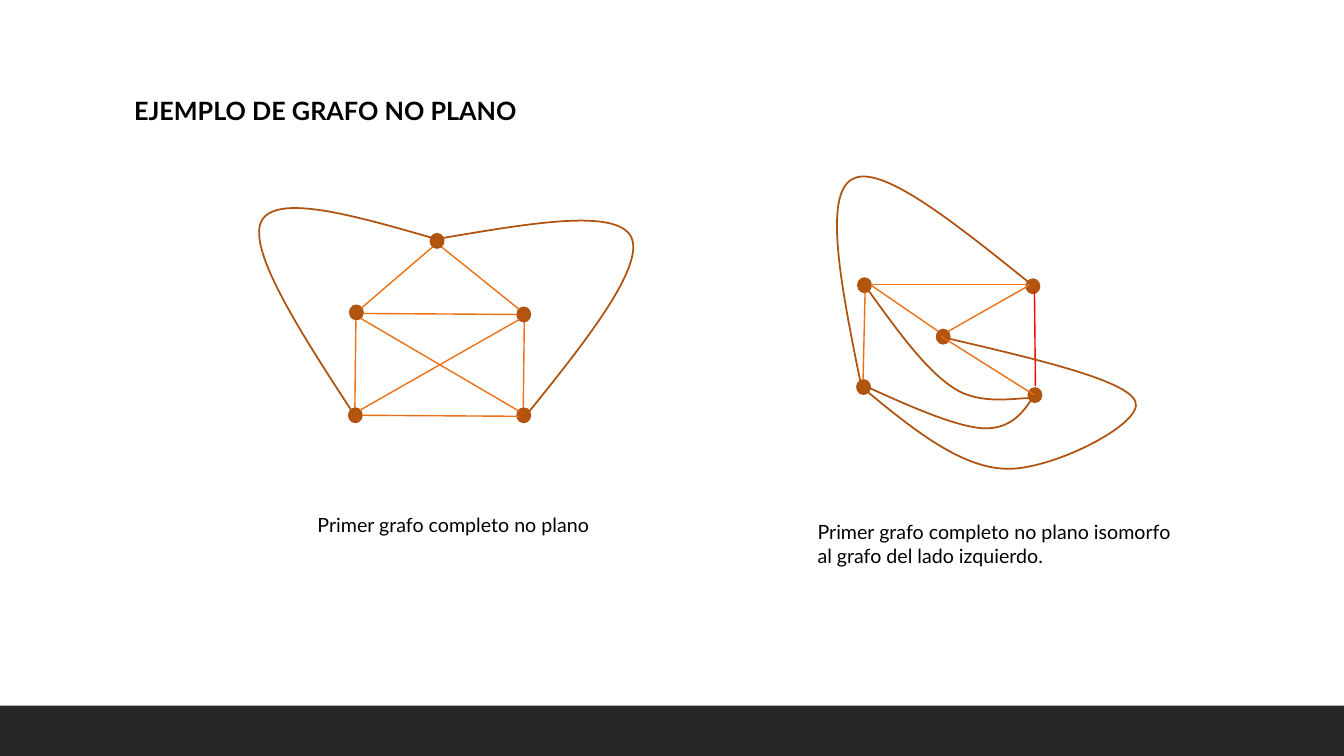
from lxml.etree import SubElement
from pptx import Presentation
from pptx.dml.color import RGBColor
from pptx.enum.shapes import MSO_CONNECTOR, MSO_SHAPE
from pptx.enum.text import MSO_ANCHOR, MSO_AUTO_SIZE, PP_ALIGN
from pptx.oxml.ns import qn
from pptx.util import Emu, Pt

PX = 9144  # 100 px to the inch
FONT = "Lato"
BLACK = RGBColor(0x00, 0x00, 0x00)
BAND = RGBColor(0x26, 0x26, 0x26)
NODE = RGBColor(0xB3, 0x54, 0x0F)
OUTLINE = RGBColor(0xAF, 0x53, 0x10)
EDGE = RGBColor(0xEC, 0x70, 0x16)
RED = RGBColor(0xFF, 0x00, 0x00)
NODE_W, NODE_H = 13, 14
CURVE_STEPS = 32


def px(*lengths):
    return [Emu(round(length * PX)) for length in lengths]


def write(holder, text, size=14, bold=False, color=BLACK):
    frame = holder.text_frame
    frame.word_wrap = True
    frame.auto_size = MSO_AUTO_SIZE.SHAPE_TO_FIT_TEXT
    frame.vertical_anchor = MSO_ANCHOR.TOP
    paragraph = frame.paragraphs[0]
    paragraph.alignment = PP_ALIGN.LEFT
    run = paragraph.add_run()
    run.text = text
    run.font.name, run.font.size, run.font.bold = FONT, Pt(size), bold
    run.font.color.rgb = color


def set_line(shape, color, width):
    shape.line.color.rgb = color
    shape.line.width = Pt(width)


def add_node(slide, x, y):
    node = slide.shapes.add_shape(MSO_SHAPE.OVAL, *px(x, y, NODE_W, NODE_H))
    node.shadow.inherit = False
    node.fill.solid()
    node.fill.fore_color.rgb = NODE
    set_line(node, OUTLINE, 1.25)


def add_edge(slide, x1, y1, x2, y2, color=EDGE):
    edge = slide.shapes.add_connector(MSO_CONNECTOR.STRAIGHT, *px(x1, y1, x2, y2))
    set_line(edge, color, 1)
    SubElement(edge._element.spPr, qn("a:effectLst"))


def bezier(start, control1, control2, end, t):
    u = 1 - t
    return tuple(u**3 * a + 3 * u * u * t * b + 3 * u * t * t * c + t**3 * d
                 for a, b, c, d in zip(start, control1, control2, end))


def add_curve(slide, points):
    """Draw a chain of cubic curves; each takes three points after the start."""
    # Points along the curve give the shape its true bounds
    trail = [bezier(*points[i:i + 4], step / CURVE_STEPS)
             for i in range(0, len(points) - 1, 3)
             for step in range(1, CURVE_STEPS + 1)]
    builder = slide.shapes.build_freeform(*px(*points[0]), scale=1.0)
    builder.add_line_segments([px(*point) for point in trail], close=False)
    curve = builder.convert_to_shape()
    curve.shadow.inherit = False
    curve.fill.background()
    set_line(curve, OUTLINE, 1.25)

    # Real cubic segments replace the line segments
    outline = next(curve._element.iter(qn("a:path")))
    for segment in list(outline):
        outline.remove(segment)
    for i, point in enumerate(points):
        if i == 0:
            segment = SubElement(outline, qn("a:moveTo"))
        elif i % 3 == 1:
            segment = SubElement(outline, qn("a:cubicBezTo"))
        x, y = px(*point)
        SubElement(segment, qn("a:pt"), x=str(x - curve.left), y=str(y - curve.top))


def add_graph(slide, left, top, graph):
    """Place nodes, edges, curves and caption relative to the corner given."""
    for x, y in graph["nodes"]:
        add_node(slide, left + x, top + y)
    for x1, y1, x2, y2, *color in graph["edges"]:
        add_edge(slide, left + x1, top + y1, left + x2, top + y2, *color)
    for curve in graph["curves"]:
        add_curve(slide, [(left + x, top + y) for x, y in curve])
    text, x, y, width, height = graph["caption"]
    caption = slide.shapes.add_textbox(*px(left + x, top + y, width, height))
    write(caption, text)


def add_title(slide, left, top, width, height):
    title = slide.shapes.title
    title.left, title.top, title.width, title.height = px(left, top, width, height)
    write(title, "EJEMPLO DE GRAFO NO PLANO", size=18, bold=True)


def add_master_band(deck, slide, left, top, width, height):
    band = slide.shapes.add_shape(MSO_SHAPE.RECTANGLE, *px(left, top, width, height))
    band.shadow.inherit = False
    band.fill.solid()
    band.fill.fore_color.rgb = BAND
    band.line.fill.background()
    deck.slide_master.shapes._spTree.append(band._element)


# Complete graph on five nodes
COMPLETE = {
    "nodes": [(263, 205), (263, 105), (97, 103), (96, 205), (177, 32)],
    "edges": [
        (103, 118, 102, 205), (110, 111, 263, 112), (108, 116, 265, 208),
        (108, 106, 179, 45), (188, 45, 265, 107), (270, 119, 269, 205),
        (109, 212, 265, 213), (265, 117, 107, 207),
    ],
    "curves": [
        [(184, 37), (273, 22), (361, 6), (376, 35), (390, 64), (331, 139), (271, 213)],
        [(182, 37), (102, 14), (23, -9), (9, 20), (-4, 49), (48, 130), (101, 211)],
    ],
    "caption": ("Primer grafo completo no plano", 55, 304, 381, 34),
}

# Isomorphic graph, with the crossing edge in red
ISOMORPHIC = {
    "nodes": [(218, 127), (51, 126), (50, 227), (129, 177), (220, 235)],
    "edges": [
        (64, 133, 131, 179), (64, 132, 221, 132), (58, 140, 56, 227),
        (140, 179, 221, 133), (134, 184, 226, 242), (226, 138, 227, 233, RED),
    ],
    "curves": [
        [(62, 139), (90, 178), (119, 218), (146, 235), (173, 253), (210, 244), (224, 245)],
        [(137, 185), (227, 206), (317, 227), (326, 248), (336, 270), (241, 318),
         (196, 315), (151, 313), (103, 274), (56, 235)],
        [(224, 133), (148, 72), (73, 11), (45, 28), (16, 44), (35, 138), (54, 232)],
        [(58, 233), (102, 253), (147, 273), (175, 275), (203, 276), (215, 259), (226, 242)],
    ],
    "caption": ("Primer grafo completo no plano isomorfo al grafo del lado izquierdo.",
                1, 361, 381, 57),
}


def main():
    deck = Presentation()
    deck.slide_width, deck.slide_height = px(1333, 750)
    slide = deck.slides.add_slide(deck.slide_layouts[5])
    add_master_band(deck, slide, 0, 700, 1333, 50)
    add_title(slide, 123, 90, 465, 40)
    add_graph(slide, 250, 200, COMPLETE)
    add_graph(slide, 800, 150, ISOMORPHIC)
    deck.save("out.pptx")


if __name__ == "__main__":
    main()
